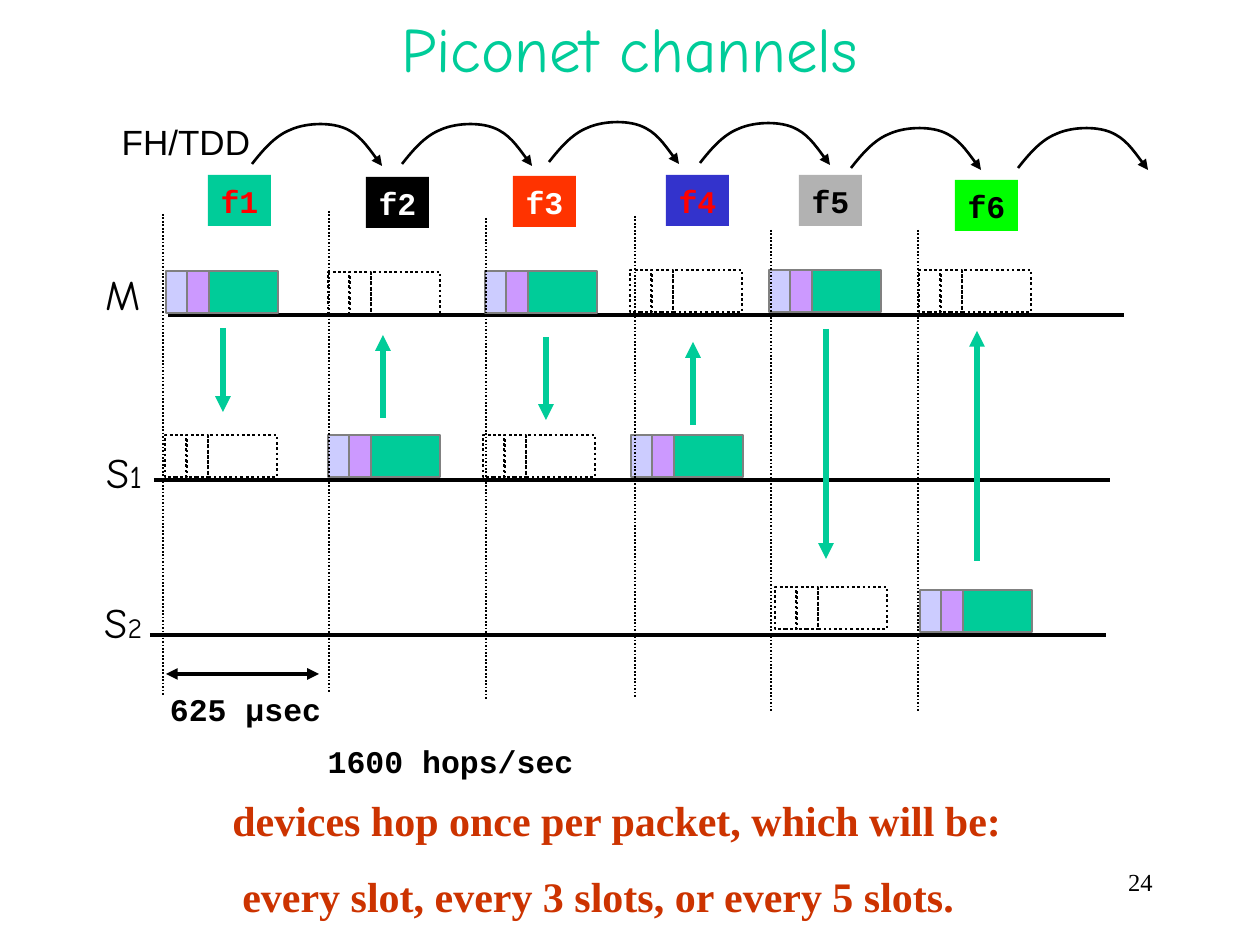
import lxml.etree
import pptx
import pptx.dml.color
import pptx.enum.dml
import pptx.enum.shapes
import pptx.enum.text
import pptx.oxml.ns
import pptx.util

SCALE = 914400 / 126
COLORS = {
    "black": "000000", "white": "FFFFFF", "green": "00CC99", "red": "FF0000",
    "orange": "FF3300", "blue": "3333CC", "gray": "B2B2B2", "lime": "00FF00",
    "pale": "CCCCFF", "purple": "CC99FF", "edge": "808080", "rust": "CC3300",
}
COMIC, MONO, SERIF = "Comic Neue", "Courier New", "Times New Roman"
ALIGN = pptx.enum.text.PP_ALIGN
DOTS = pptx.enum.dml.MSO_LINE.ROUND_DOT

# Fields of a packet: offset, width, fill
FIELDS = [(0, 22, "pale"), (43, 69, "green"), (21, 22, "purple")]
# Offsets of the hop curve: its start, then three points for each cubic
CURVE = [(0, 42), (11, 28), (23, 14), (38, 8), (53, 1), (77, 0),
         (92, 6), (107, 12), (118, 28), (130, 44)]

# Each slot: guide, label box, fill, ink, hop, master packet, slave packet, arrow
SLOTS = [
    ((163, 214), (208, 175), "green", "red", (252, 122),
     (166, 271), (165, 435), (223, 328, 412)),
    ((329, 211), (366, 177), "black", "white", (402, 122),
     (328, 272), (328, 435), (383, 335, 418)),
    ((486, 218), (513, 176), "orange", "white", (549, 120),
     (485, 271), (483, 435), (546, 337, 420)),
    ((635, 216), (666, 175), "blue", "red", (700, 121),
     (630, 270), (631, 435), (693, 342, 425)),
    ((771, 230), (799, 175), "gray", "black", (851, 126),
     (769, 270), (775, 587), (826, 329, 559)),
    ((918, 230), (955, 180), "lime", "black", (1018, 126),
     (919, 270), (920, 590), (977, 331, 561)),
]


def px(*sizes):
    return [pptx.util.Emu(round(size * SCALE)) for size in sizes]


def rgb(name):
    return pptx.dml.color.RGBColor.from_string(COLORS[name])


def qn(tag):
    return pptx.oxml.ns.qn(tag)


def style_line(shape, color, width, dash=None, head=False, tail=False):
    shape.line.color.rgb = rgb(color)
    shape.line.width = pptx.util.Pt(width)
    if dash:
        shape.line.dash_style = dash
    ln = shape._element.spPr.find(qn("a:ln"))
    for tag, shown in (("a:headEnd", head), ("a:tailEnd", tail)):
        if shown:
            lxml.etree.SubElement(ln, qn(tag), type="triangle")


def add_line(slide, start, end, color, width, **style):
    kind = pptx.enum.shapes.MSO_CONNECTOR.STRAIGHT
    line = slide.shapes.add_connector(kind, *px(*start, *end))
    style_line(line, color, width, **style)
    lxml.etree.SubElement(line._element.spPr, qn("a:effectLst"))


def add_rect(shapes, x, y, width, height, fill=None):
    kind = pptx.enum.shapes.MSO_SHAPE.RECTANGLE
    rect = shapes.add_shape(kind, *px(x, y, width, height))
    rect.shadow.inherit = False
    if fill:
        rect.fill.solid()
        rect.fill.fore_color.rgb = rgb(fill)
    else:
        rect.fill.background()
    return rect


def add_run(para, text, size, font, color="black", bold=False):
    run = para.add_run()
    run.text = text
    run.font.size = pptx.util.Pt(size)
    run.font.name = font
    run.font.bold = bold
    run.font.color.rgb = rgb(color)


def set_frame(shape, wrap=False, middle=True, align=ALIGN.CENTER):
    """Format the text frame and return its first paragraph."""
    frame = shape.text_frame
    frame.word_wrap = wrap
    anchor = pptx.enum.text.MSO_ANCHOR
    frame.vertical_anchor = anchor.MIDDLE if middle else anchor.TOP
    frame.paragraphs[0].alignment = align
    return frame.paragraphs[0]


def add_text(slide, place, runs, **frame):
    box = slide.shapes.add_textbox(*px(*place))
    para = set_frame(box, **frame)
    for run in runs:
        add_run(para, *run)
    return box


def add_packet(slide, x, y, sent):
    """Draw a filled packet if it is sent, or a dotted one if it is heard."""
    group = slide.shapes.add_group_shape()
    for shift, width, fill in FIELDS:
        part = add_rect(group.shapes, x + shift, y, width, 42, fill if sent else None)
        if sent:
            style_line(part, "edge", 0.75)
        else:
            style_line(part, "black", 1.5, dash=DOTS)


def add_label(slide, x, y, text, fill, ink):
    box = add_rect(slide.shapes, x, y, 63, 51, fill)
    box.line.fill.background()
    add_run(set_frame(box), text, 18, MONO, ink, True)


def add_hop(slide, x, y):
    """Draw a curved arrow, joining each three line points into one cubic."""
    points = [(x + dx, y + dy) for dx, dy in CURVE]
    form = slide.shapes.build_freeform(*points[0], scale=SCALE)
    form.add_line_segments(points[1:], close=False)
    hop = form.convert_to_shape()
    hop.shadow.inherit = False
    hop.fill.background()
    style_line(hop, "black", 1.5, tail=True)
    steps = list(hop._element.iter(qn("a:lnTo")))
    for first in range(0, len(steps), 3):
        trio = steps[first:first + 3]
        cubic = lxml.etree.SubElement(trio[0].getparent(), qn("a:cubicBezTo"))
        for step in trio:
            cubic.append(step[0])
            step.getparent().remove(step)


def add_title(slide, text):
    title = slide.shapes.title
    title.left, title.top, title.width, title.height = px(94, 0, 1071, 94)
    add_run(set_frame(title, wrap=True), text, 36, COMIC, "green")


def add_note(slide):
    box = add_text(slide, (220, 788, 829, 140),
                   [("devices hop once per packet, which will be:", 24, SERIF, "rust", True)],
                   wrap=True, middle=False, align=ALIGN.LEFT)
    para = box.text_frame.add_paragraph()
    para.space_before = pptx.util.Pt(15)
    para._p.get_or_add_pPr().set("marL", str(px(10)[0]))
    add_run(para, "every slot, every 3 slots, or every 5 slots.", 24, SERIF, "rust", True)


def main():
    deck = pptx.Presentation()
    deck.slide_width, deck.slide_height = px(1260, 945)
    slide = deck.slides.add_slide(deck.slide_layouts[5])
    add_title(slide, "Piconet channels")

    for x, y in ((168, 315), (154, 480), (150, 635)):
        add_line(slide, (x, y), (x + 956, y), "black", 2.25)
    left = {"middle": False, "align": ALIGN.LEFT}
    add_text(slide, (93, 262, 70, 63), [("M", 24, COMIC)], **left)
    add_text(slide, (94, 440, 70, 63), [("S", 24, COMIC), ("1", 18, COMIC)], **left)
    add_text(slide, (92, 590, 70, 63), [("S", 24, COMIC), ("2", 16, COMIC)], **left)

    for count, slot in enumerate(SLOTS, 1):
        guide, label, fill, ink, hop, master, slave, (x, top, base) = slot
        down = count % 2 == 1
        add_packet(slide, *master, down)
        add_packet(slide, *slave, not down)
        add_line(slide, guide, (guide[0], guide[1] + 481), "black", 1, dash=DOTS)
        add_line(slide, (x, top), (x, base), "green", 3, head=not down, tail=down)
        add_label(slide, *label, f"f{count}", fill, ink)
        add_hop(slide, *hop)

    add_line(slide, (166, 674), (319, 674), "black", 2.25, head=True, tail=True)
    add_text(slide, (157, 683, 177, 51), [("625 μsec", 18, MONO, "black", True)])
    add_text(slide, (315, 735, 271, 51), [("1600 hops/sec", 18, MONO, "black", True)])
    add_text(slide, (98, 114, 176, 55), [("FH/TDD", 20, "Arial")], wrap=True)
    add_note(slide)
    add_text(slide, (903, 861, 262, 63), [("24", 14, SERIF)],
             wrap=True, middle=False, align=ALIGN.RIGHT)
    deck.save("out.pptx")


if __name__ == "__main__":
    main()
